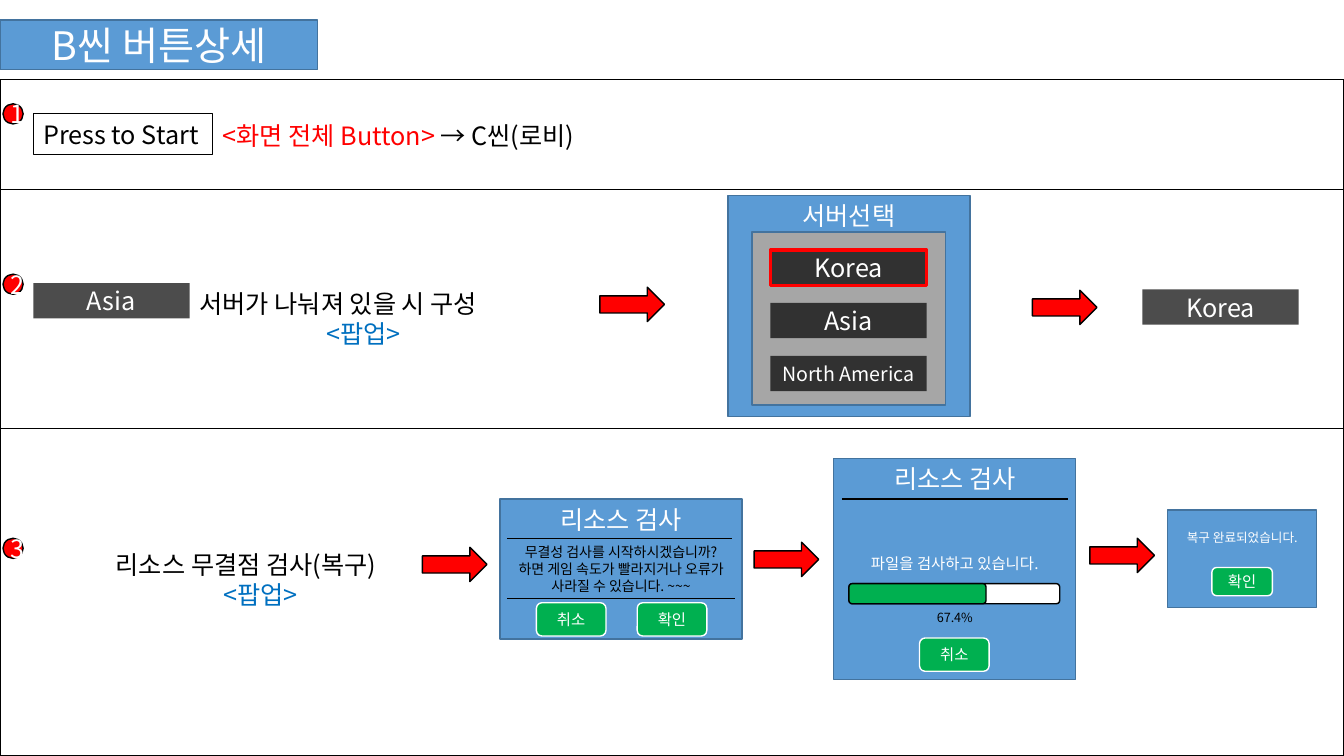
from dataclasses import dataclass

from lxml import etree
from pptx import Presentation
from pptx.dml.color import RGBColor
from pptx.enum.shapes import MSO_CONNECTOR, MSO_SHAPE
from pptx.enum.text import MSO_ANCHOR, PP_ALIGN
from pptx.oxml.ns import qn
from pptx.util import Inches, Pt

RECT, ROUND = MSO_SHAPE.RECTANGLE, MSO_SHAPE.ROUNDED_RECTANGLE
ARROW, OVAL = MSO_SHAPE.RIGHT_ARROW, MSO_SHAPE.OVAL
LEFT, CENTER = PP_ALIGN.LEFT, PP_ALIGN.CENTER
TOP, MIDDLE = MSO_ANCHOR.TOP, MSO_ANCHOR.MIDDLE
STRAIGHT = MSO_CONNECTOR.STRAIGHT

BLACK = RGBColor(0x00, 0x00, 0x00)
WHITE = RGBColor(0xFF, 0xFF, 0xFF)
RED = RGBColor(0xFF, 0x00, 0x00)
GREEN = RGBColor(0x00, 0xB0, 0x50)
BLUE = RGBColor(0x5B, 0x9B, 0xD5)
DARK_BLUE = RGBColor(0x43, 0x73, 0x9E)
LINK_BLUE = RGBColor(0x00, 0x70, 0xC0)
GRAY = RGBColor(0xA6, 0xA6, 0xA6)

FONT = "Noto Sans CJK KR"
PAGE_WIDTH, PAGE_HEIGHT = 13.33, 7.5
TABLE_TOP = 0.79
ROW_HEIGHTS = (1.09, 2.37, 3.25)
POPUP_WIDTH = 2.4


@dataclass
class Box:
    left: float
    top: float
    width: float
    height: float

    def inner(self, left, top, width, height):
        """Box whose place is given from this box's top left corner."""
        return Box(self.left + left, self.top + top, width, height)

    def emu(self):
        return [Inches(n) for n in (self.left, self.top, self.width, self.height)]


@dataclass
class Line:
    """One paragraph: runs of (text, colour) in one size."""
    runs: list
    size: float = 18
    align: PP_ALIGN = CENTER
    before: float = 0


def write(shape, lines, anchor=TOP):
    frame = shape.text_frame
    frame.word_wrap = True
    frame.vertical_anchor = anchor
    for number, line in enumerate(lines):
        para = frame.add_paragraph() if number else frame.paragraphs[0]
        para.alignment = line.align
        para.space_before = Pt(line.before)
        for text, color in line.runs:
            span = para.add_run()
            span.text = text
            span.font.size = Pt(line.size)
            span.font.name = FONT
            span.font.color.rgb = color
            east_asian = etree.SubElement(span.font._element, qn("a:ea"))
            east_asian.set("typeface", FONT)


def add_figure(shapes, kind, box, fill=None, line=None, weight=1.0):
    figure = shapes.add_shape(kind, *box.emu())
    figure.shadow.inherit = False
    if fill is None:
        figure.fill.background()
    else:
        figure.fill.solid()
        figure.fill.fore_color.rgb = fill
    if line is None:
        figure.line.fill.background()
    else:
        figure.line.color.rgb = line
        figure.line.width = Pt(weight)
    return figure


def add_label(shapes, box, lines):
    write(shapes.add_textbox(*box.emu()), lines)


def add_rule(shapes, left, top, width):
    rule = shapes.add_connector(STRAIGHT, Inches(left), Inches(top),
                                Inches(left + width), Inches(top))
    rule.line.color.rgb = BLACK
    rule.line.width = Pt(1)
    etree.SubElement(rule._element.spPr, qn("a:effectLst"))


def add_arrow(shapes, band, left, top):
    add_figure(shapes, ARROW, band.inner(left, top, 0.64, 0.34), RED, BLACK)


def add_number(shapes, band, number, top):
    circle = add_figure(shapes, OVAL, band.inner(0.03, top, 0.2, 0.2), RED, BLACK)
    write(circle, [Line([(str(number), WHITE)])], MIDDLE)


def add_server(shapes, box, name, size=18, line=None):
    """Translucent black server button."""
    button = add_figure(shapes, RECT, box, BLACK, line, 2.25)
    color = button.fill._xPr.find(qn("a:solidFill"))[0]
    etree.SubElement(color, qn("a:alpha")).set("val", "70000")
    write(button, [Line([(name, WHITE)], size)], MIDDLE)


def add_button(shapes, box, text):
    button = add_figure(shapes, ROUND, box, GREEN, WHITE)
    write(button, [Line([(text, WHITE)], 11)], MIDDLE)


def add_popup(shapes, box, lines):
    popup = add_figure(shapes, RECT, box, BLUE, DARK_BLUE)
    write(popup, lines)
    return popup


def add_bands(shapes, box):
    """Bordered one-column table; returns the box of each row."""
    table = shapes.add_table(len(ROW_HEIGHTS), 1, *box.emu()).table
    table.first_row = table.horz_banding = False
    bands, top = [], 0
    for number, height in enumerate(ROW_HEIGHTS):
        table.rows[number].height = Inches(height)
        cell = table.cell(number, 0)
        properties = cell._tc.get_or_add_tcPr()
        for side in ("a:lnL", "a:lnR", "a:lnT", "a:lnB"):
            border = etree.SubElement(properties, qn(side), w=str(Pt(1)))
            solid = etree.SubElement(border, qn("a:solidFill"))
            etree.SubElement(solid, qn("a:srgbClr"), val=str(BLACK))
        cell.fill.background()
        bands.append(box.inner(0, top, box.width, height))
        top += height
    return bands


def add_title(shapes, box):
    bar = add_figure(shapes, RECT, box, BLUE, DARK_BLUE)
    write(bar, [Line([("B씬 버튼상세", WHITE)], 28)], MIDDLE)


def add_start_band(shapes, band):
    add_number(shapes, band, 1, 0.24)
    start = add_figure(shapes, RECT, band.inner(0.33, 0.34, 1.78, 0.4), None, BLACK, 0.75)
    write(start, [Line([("Press to Start", BLACK)], align=LEFT)])
    start.text_frame.word_wrap = False
    add_label(shapes, band.inner(2.11, 0.35, 4.02, 0.4), [
        Line([("<화면 전체 Button> ", RED), ("→ C씬(로비)", BLACK)], align=LEFT)])


def add_server_popup(shapes, box):
    add_popup(shapes, box, [Line([("서버선택", WHITE)])])
    add_figure(shapes, RECT, box.inner(0.24, 0.36, 1.92, 1.72), GRAY, DARK_BLUE)
    servers = (("Korea", 18, RED), ("Asia", 18, None), ("North America", 14, None))
    for number, (name, size, line) in enumerate(servers):
        place = box.inner(0.42, 0.54 + number * 0.525, 1.55, 0.35)
        add_server(shapes, place, name, size, line)


def add_server_band(shapes, band):
    add_number(shapes, band, 2, 0.84)
    add_server(shapes, band.inner(0.33, 0.93, 1.55, 0.35), "Asia")
    add_label(shapes, band.inner(1.88, 0.93, 3.45, 0.71), [
        Line([("서버가 나눠져 있을 시 구성", BLACK)], align=LEFT),
        Line([("<팝업>", LINK_BLUE)])])
    add_arrow(shapes, band, 5.95, 0.97)
    add_server_popup(shapes, band.inner(7.22, 0.06, POPUP_WIDTH, 2.19))
    add_arrow(shapes, band, 10.24, 1.0)
    add_server(shapes, band.inner(11.33, 0.99, 1.55, 0.35), "Korea")


def add_confirm_popup(shapes, box):
    add_popup(shapes, box, [
        Line([("리소스 검사", WHITE)]),
        Line([("무결성 검사를 시작하시겠습니까?", BLACK)], 10, before=7),
        Line([("하면 게임 속도가 빨라지거나 오류가 사라질 수 있습니다. ~~~", BLACK)], 10)])
    for top, width in ((0.39, 2.23), (0.99, 2.26)):
        add_rule(shapes, box.left + 0.07, box.top + top, width)
    for left, text in ((0.36, "취소"), (1.36, "확인")):
        add_button(shapes, box.inner(left, 1.03, 0.69, 0.33), text)


def add_progress_popup(shapes, box):
    add_popup(shapes, box, [
        Line([("리소스 검사", WHITE)]),
        Line([("파일을 검사하고 있습니다.", WHITE)], 11, before=43)])
    for width, fill in ((2.09, WHITE), (1.36, GREEN)):
        add_figure(shapes, ROUND, box.inner(0.15, 1.24, width, 0.2), fill, BLACK)
    add_label(shapes, box.inner(0.86, 1.45, 0.68, 0.25), [Line([("67.4%", BLACK)], 9)])
    add_rule(shapes, box.left + 0.08, box.top + 0.4, 2.24)
    add_button(shapes, box.inner(0.85, 1.78, 0.69, 0.33), "취소")


def add_done_popup(shapes, box):
    popup = add_popup(shapes, box, [Line([("복구 완료되었습니다.", WHITE)], 9)])
    popup.text_frame.margin_top = Inches(0.2)
    add_button(shapes, box.inner(0.44, 0.57, 0.6, 0.28), "확인")


def add_repair_band(shapes, band):
    add_number(shapes, band, 3, 1.09)
    add_label(shapes, band.inner(1.05, 1.15, 3.01, 0.71), [
        Line([("리소스 무결점 검사(복구)", BLACK)], align=LEFT),
        Line([(" <팝업>", LINK_BLUE)])])
    for left, top in ((4.19, 1.18), (7.48, 1.13), (10.81, 1.09)):
        add_arrow(shapes, band, left, top)
    add_confirm_popup(shapes.add_group_shape().shapes,
                      band.inner(4.96, 0.7, POPUP_WIDTH, 1.39))
    add_progress_popup(shapes, band.inner(8.27, 0.3, POPUP_WIDTH, 2.19))
    add_done_popup(shapes, band.inner(11.58, 0.81, 1.48, 0.97))


def main():
    deck = Presentation()
    deck.slide_width, deck.slide_height = Inches(PAGE_WIDTH), Inches(PAGE_HEIGHT)
    shapes = deck.slides.add_slide(deck.slide_layouts[6]).shapes
    bands = add_bands(shapes, Box(0, TABLE_TOP, PAGE_WIDTH, sum(ROW_HEIGHTS)))
    add_title(shapes, Box(0, 0.2, 3.15, 0.49))
    for add_band, band in zip((add_start_band, add_server_band, add_repair_band), bands):
        add_band(shapes, band)
    deck.save("out.pptx")


if __name__ == "__main__":
    main()
